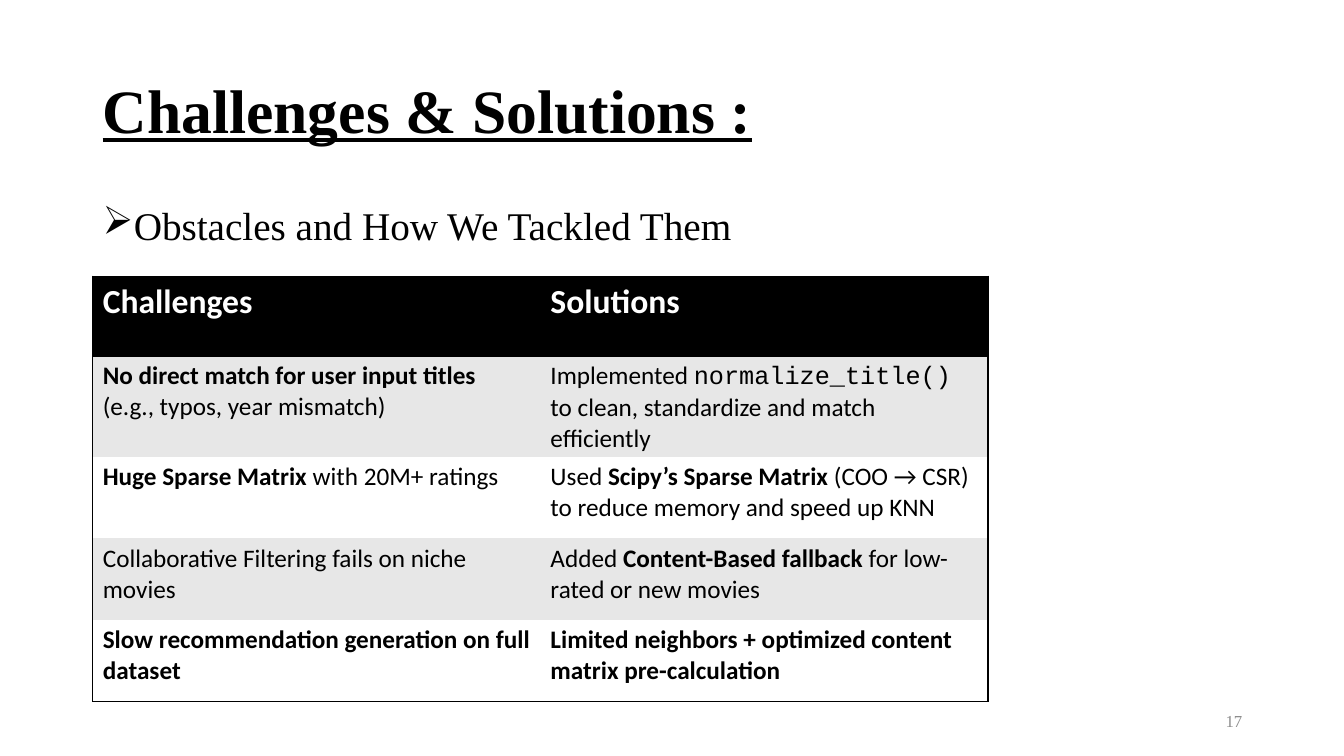
from lxml import etree
from pptx import Presentation
from pptx import util as u
from pptx.dml.color import RGBColor
from pptx.enum import text
from pptx.oxml import ns

COLORS = {"ink": "000000", "paper": "FFFFFF", "band": "E7E7E7", "number": "8C8C8C"}
SERIF, SANS, MONO = "Times New Roman", "Calibri", "Courier New"
PLAIN, BOLD, CODE = "plain", "bold", "code"

ROWS = [
    ([("Challenges", BOLD)], [("Solutions", BOLD)]),
    (
        [("No direct match for user input titles", BOLD), (" (e.g., typos, year mismatch)", PLAIN)],
        [("Implemented ", PLAIN), ("normalize_title() ", CODE),
         ("to clean, standardize and match efficiently", PLAIN)],
    ),
    (
        [("Huge Sparse Matrix", BOLD), (" with 20M+ ratings", PLAIN)],
        [("Used ", PLAIN), ("Scipy’s Sparse Matrix", BOLD),
         (" (COO → CSR) to reduce memory and speed up KNN", PLAIN)],
    ),
    (
        [("Collaborative Filtering fails on niche movies", PLAIN)],
        [("Added ", PLAIN), ("Content-Based fallback", BOLD), (" for low-rated or new movies", PLAIN)],
    ),
    (
        [("Slow recommendation generation on full dataset", BOLD)],
        [("Limited neighbors + optimized content matrix pre-calculation", BOLD)],
    ),
]


def color(name):
    """Return the named palette colour."""
    return RGBColor.from_string(COLORS[name])


def style_font(font, name, size, ink):
    """Set the face, size and colour of a font."""
    font.name, font.size = name, u.Pt(size)
    font.color.rgb = color(ink)


def add_text(slide, box, wording, size, ink="ink", anchor=text.MSO_ANCHOR.MIDDLE):
    """Add a wrapped serif text box and return its paragraph."""
    frame = slide.shapes.add_textbox(*map(u.Inches, box)).text_frame
    frame.word_wrap = True
    frame.vertical_anchor = anchor
    paragraph = frame.paragraphs[0]
    paragraph.text = wording
    style_font(paragraph.font, SERIF, size, ink)
    return paragraph


def add_title(slide, box):
    """Add the underlined slide title."""
    paragraph = add_text(slide, box, "Challenges & Solutions :", 44)
    paragraph.line_spacing = 0.9
    paragraph.font.bold = paragraph.font.underline = True


def add_subtitle(slide, box):
    """Add the line with an arrow bullet above the table."""
    paragraph = add_text(slide, box, "Obstacles and How We Tackled Them", 28, anchor=text.MSO_ANCHOR.TOP)
    paragraph.line_spacing = 0.9
    paragraph.space_before = u.Pt(10)
    properties = paragraph._p.get_or_add_pPr()
    properties.set("marL", str(u.Inches(0.25)))
    properties.set("indent", str(-u.Inches(0.25)))
    bullet = etree.Element(ns.qn("a:buChar"), char="➢")
    properties.insert_element_before(bullet, "a:tabLst", "a:defRPr", "a:extLst")


def add_page_number(slide, box):
    """Add the page number at the lower right."""
    paragraph = add_text(slide, box, "17", 12, "number")
    paragraph.alignment = text.PP_ALIGN.RIGHT


def set_borders(cell, widths):
    """Draw the given sides of a cell in points and clear the others."""
    properties = cell._tc.get_or_add_tcPr()
    for side in "LRTB":
        width = widths.get(side, 0)
        line = etree.SubElement(properties, ns.qn(f"a:ln{side}"), w=str(u.Pt(width)))
        if width:
            fill = etree.SubElement(line, ns.qn("a:solidFill"))
            etree.SubElement(fill, ns.qn("a:srgbClr"), val=COLORS["ink"])
        else:
            etree.SubElement(line, ns.qn("a:noFill"))


def fill_cell(cell, pieces, size, ink, background):
    """Write the styled pieces into a cell and colour it."""
    cell.fill.solid()
    cell.fill.fore_color.rgb = color(background)
    paragraph = cell.text_frame.paragraphs[0]
    for wording, style in pieces:
        run = paragraph.add_run()
        run.text = wording
        style_font(run.font, MONO if style == CODE else SANS, size, ink)
        run.font.bold = style == BOLD


def add_challenge_table(slide, box):
    """Add the table that pairs each challenge with its solution."""
    table = slide.shapes.add_table(len(ROWS), 2, *map(u.Inches, box)).table
    table.first_row = table.horz_banding = False
    last = len(ROWS) - 1
    for column in table.columns:
        column.width = u.Inches(box[2] / 2)
    for index, pair in enumerate(ROWS):
        header = index == 0
        table.rows[index].height = u.Inches(0.79 if header else 0.81)
        background = "ink" if header else "band" if index % 2 else "paper"
        for position, pieces in enumerate(pair):
            cell = table.cell(index, position)
            widths = {"LR"[position]: 1}
            if header:
                widths.update(T=1, B=2)
            if index == 1:
                widths.update(T=2)
            if index == last:
                widths.update(B=1)
            set_borders(cell, widths)
            fill_cell(cell, pieces, 24 if header else 18, "paper" if header else "ink", background)


def main():
    """Build and save the slide."""
    presentation = Presentation()
    presentation.slide_width, presentation.slide_height = u.Inches(13.33), u.Inches(7.5)
    slide = presentation.slides.add_slide(presentation.slide_layouts[6])
    add_title(slide, (0.92, 0.4, 11.5, 1.45))
    add_subtitle(slide, (0.92, 2, 11.5, 0.7))
    add_page_number(slide, (9.42, 6.95, 3, 0.4))
    add_challenge_table(slide, (0.92, 2.74, 8.88, 4.03))
    presentation.save("out.pptx")


if __name__ == "__main__":
    main()
